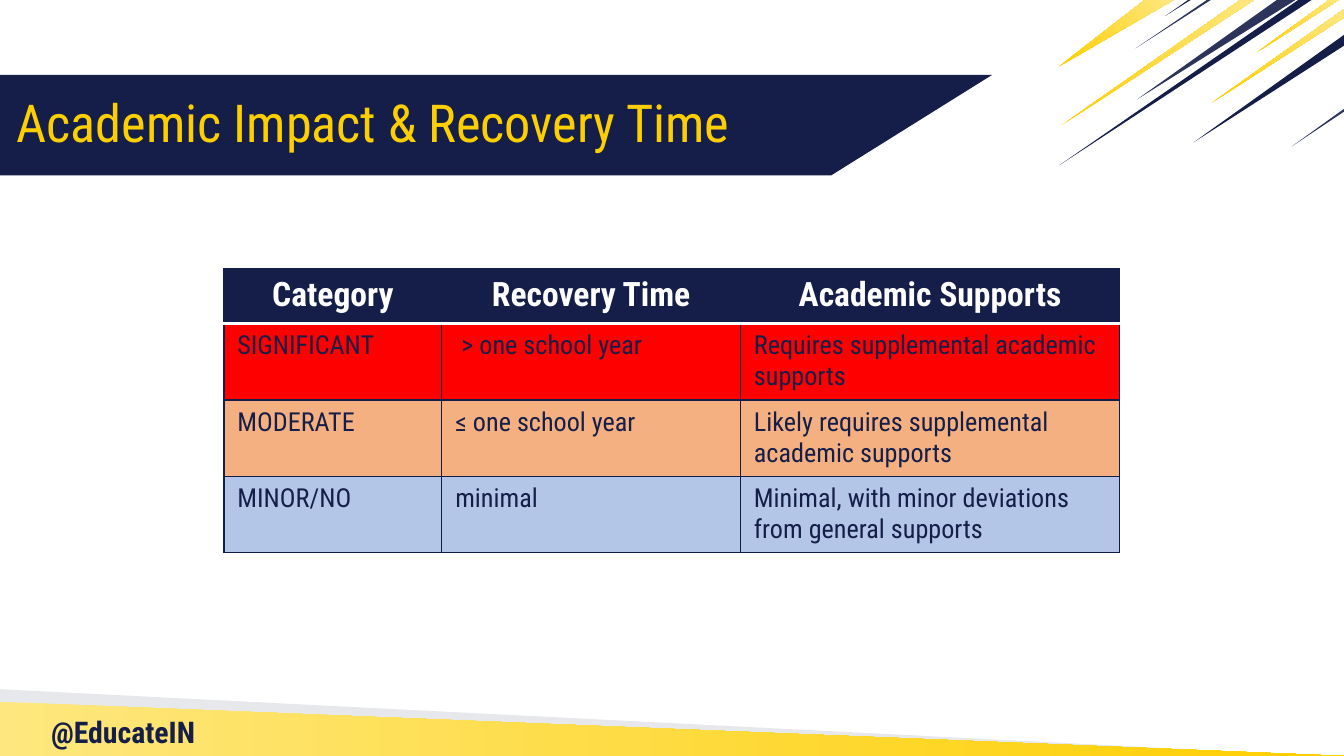
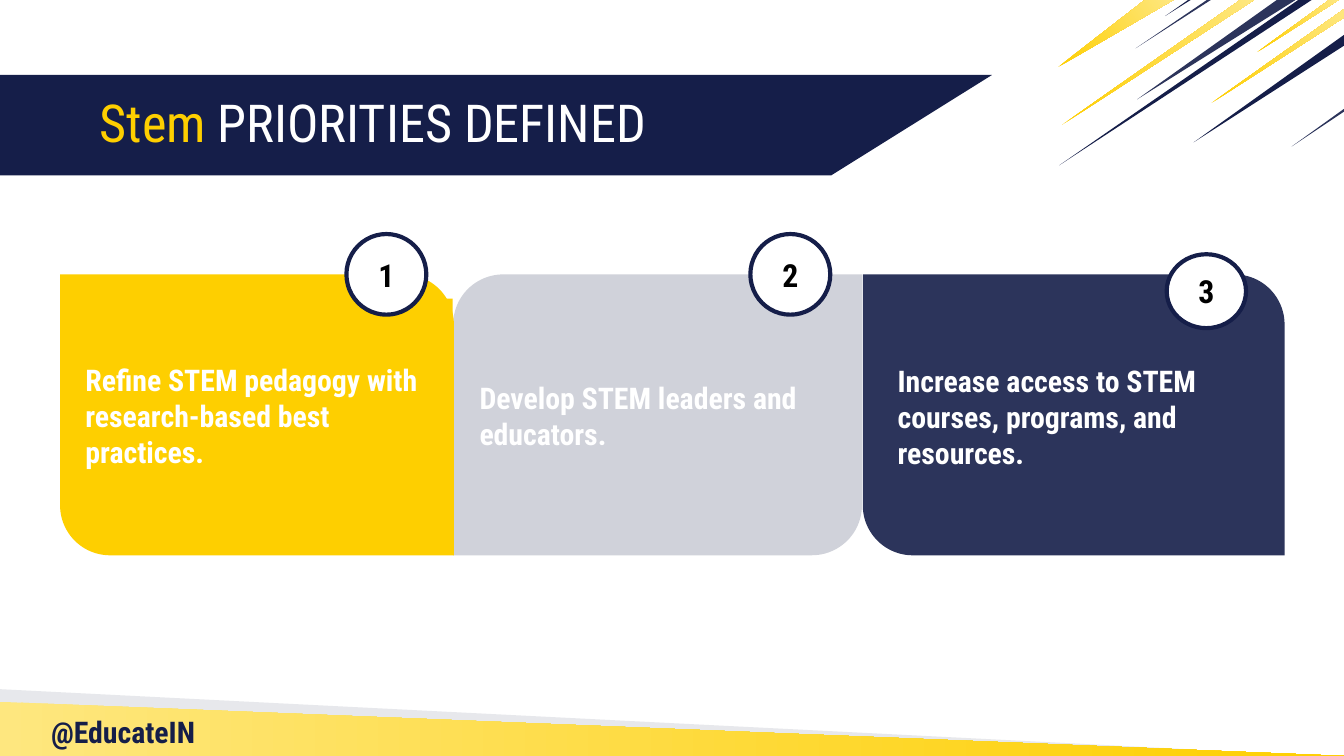
from dataclasses import dataclass

import pptx
import pptx.dml.color
import pptx.enum.shapes
import pptx.enum.text
import pptx.oxml
import pptx.oxml.ns
import pptx.util

Pt = pptx.util.Pt
RGBColor = pptx.dml.color.RGBColor
MSO_SHAPE = pptx.enum.shapes.MSO_SHAPE
MSO_ANCHOR = pptx.enum.text.MSO_ANCHOR
PP_ALIGN = pptx.enum.text.PP_ALIGN

FONT = "Roboto Condensed"
NAVY = RGBColor(0x15, 0x1E, 0x49)
SLATE = RGBColor(0x2C, 0x34, 0x5B)
GOLD = RGBColor(0xFE, 0xCF, 0x00)
PALE_GOLD = RGBColor(0xFE, 0xE7, 0x7F)
SILVER = RGBColor(0xD0, 0xD2, 0xDA)
MIST = RGBColor(0xE7, 0xE8, 0xEC)
WHITE = RGBColor(0xFF, 0xFF, 0xFF)
BLACK = RGBColor(0x00, 0x00, 0x00)
RED = RGBColor(0xFF, 0x00, 0x00)
ORANGE = RGBColor(0xF4, 0xB0, 0x81)
BLUE = RGBColor(0xB3, 0xC6, 0xE7)
RULE = RGBColor(0x13, 0x1D, 0x49)

SLIDE_WIDTH, SLIDE_HEIGHT = 720, 405
BAND_TOP, BAND_HEIGHT = 40.2, 53.8

GOLD_STREAK = (GOLD, PALE_GOLD, 35)
STREAKS = [
    (GOLD_STREAK, [(673.2, 28.1), (717.1, 0), (712.1, 0)]),
    (NAVY, [(567.4, 88.6), (702.7, 0), (695.5, 0)]),
    (GOLD_STREAK, [(613.4, 0), (566.8, 36), (628.6, 0)]),
    (GOLD_STREAK, [(720, 9.4), (720, 5), (648.7, 55.4)]),
    (SLATE, [(694.1, 0), (684, 0), (609.1, 53.3)]),
    (NAVY, [(639.4, 76.3), (720, 24.5), (720, 18.7)]),
    (SLATE, [(720, 59.8), (720, 58.3), (691.9, 78.5)]),
    (NAVY, [(624.2, 8.6), (637.9, 0), (636.5, 0)]),
    (GOLD_STREAK, [(568.8, 67), (671.8, 0), (664.6, 0)]),
    (SLATE, [(608.4, 25.9), (648.7, 0), (646.6, 0)]),
]


@dataclass
class Card:
    """A numbered card; panel and badge boxes are relative to its corner."""
    number: int
    text: str
    color: RGBColor
    left: float
    width: float
    rounding: tuple
    panel: tuple
    badge: tuple


CARDS = [
    Card(1, "Refine STEM pedagogy with research-based best practices.", GOLD,
         32.2, 211, (0, 0.178), (6.5, 13, 203.8, 125.3), (153.4, -21.6, 42.8, 43.2)),
    Card(2, "Develop STEM leaders and educators.", SILVER,
         242.8, 219, (0.178, 0), (7, 14.4, 206, 122.4), (159.2, -21.6, 42.8, 43.2)),
    Card(3, "Increase access to STEM courses, programs, and resources.", SLATE,
         462.2, 226, (0, 0.178), (11.6, 30.2, 201.6, 92.2), (162.8, -10.8, 42.5, 39.6)),
]
CARD_TOP, CARD_HEIGHT = 147, 150.5

TABLE_BOX = (120, 144, 480, 151)
COLUMN_SHARES = (1.62, 2.22, 2.82)
HEADER_HEIGHT = 29.5
TABLE_ROWS = [
    (NAVY, ["Category", "Recovery Time", "Academic Supports"]),
    (RED, ["SIGNIFICANT", " > one school year", "Requires supplemental academic supports"]),
    (ORANGE, ["MODERATE", "≤ one school year", "Likely requires supplemental academic supports"]),
    (BLUE, ["MINOR/NO", "minimal", "Minimal, with minor deviations from general supports"]),
]


def points(*lengths):
    return [Pt(length) for length in lengths]


def style_font(font, size, color, bold=False):
    font.name = FONT
    font.size = Pt(size)
    font.color.rgb = color
    font.bold = bold


def set_frame(text_frame, inset, anchor=MSO_ANCHOR.MIDDLE):
    text_frame.word_wrap = True
    text_frame.vertical_anchor = anchor
    text_frame.margin_left = text_frame.margin_right = Pt(inset)
    text_frame.margin_top = text_frame.margin_bottom = Pt(inset)


def set_text(shape, text, size, color, inset, anchor=MSO_ANCHOR.MIDDLE, align=PP_ALIGN.LEFT):
    """Put one bold paragraph in a shape."""
    set_frame(shape.text_frame, inset, anchor)
    shape.text_frame.text = text
    paragraph = shape.text_frame.paragraphs[0]
    paragraph.alignment = align
    style_font(paragraph.runs[0].font, size, color, bold=True)


def paint(shape, fill):
    """Fill with a colour or a (start, end, angle) gradient, without outline."""
    shape.shadow.inherit = False
    shape.line.fill.background()
    if isinstance(fill, RGBColor):
        shape.fill.solid()
        shape.fill.fore_color.rgb = fill
        return
    start, end, angle = fill
    shape.fill.gradient()
    shape.fill.gradient_angle = angle
    for stop, color in zip(shape.fill.gradient_stops, (start, end)):
        stop.color.rgb = color


def add_polygon(slide, fill, corners):
    first, *rest = [points(*corner) for corner in corners]
    builder = slide.shapes.build_freeform(*first)
    builder.add_line_segments(rest, close=True)
    paint(builder.convert_to_shape(), fill)


def add_preset(shapes, kind, box, fill):
    shape = shapes.add_shape(kind, *points(*box))
    paint(shape, fill)
    return shape


def add_backdrop(slide):
    bottom = SLIDE_HEIGHT
    band_bottom = BAND_TOP + BAND_HEIGHT
    add_polygon(slide, MIST, [(0, 369.2), (0, bottom), (641, 401.6)])
    add_polygon(slide, NAVY, [(0, BAND_TOP), (0, band_bottom),
                              (445.3, band_bottom), (531.4, BAND_TOP)])
    for fill, corners in STREAKS:
        add_polygon(slide, fill, corners)
    add_polygon(slide, (PALE_GOLD, GOLD, 0),
                [(0, 376), (0, bottom), (SLIDE_WIDTH, bottom)])
    handle = slide.shapes.add_textbox(*points(23.8, 378.7, 146.9, 14.4))
    set_text(handle, "@EducateIN", 16, NAVY, 3.6, MSO_ANCHOR.TOP)


def add_title(slide, left, width, inset, parts):
    title = slide.shapes.add_textbox(*points(left, BAND_TOP, width, BAND_HEIGHT))
    set_frame(title.text_frame, inset)
    paragraph = title.text_frame.paragraphs[0]
    paragraph.line_spacing = 0.9
    for text, color in parts:
        run = paragraph.add_run()
        run.text = text
        style_font(run.font, 28, color)


def set_borders(cell, top=(RULE, 0.75), bottom=(RULE, 0.75)):
    properties = cell._tc.get_or_add_tcPr()
    sides = {"lnL": (RULE, 0.75), "lnR": (RULE, 0.75), "lnT": top, "lnB": bottom}
    for index, (side, (color, width)) in enumerate(sides.items()):
        line = pptx.oxml.parse_xml(
            f'<a:{side} {pptx.oxml.ns.nsdecls("a")} w="{Pt(width)}">'
            f'<a:solidFill><a:srgbClr val="{color}"/></a:solidFill></a:{side}>')
        properties.insert(index, line)


def add_impact_table(slide, box):
    left, top, width, height = box
    frame = slide.shapes.add_table(len(TABLE_ROWS), len(COLUMN_SHARES), *points(*box))
    table = frame.table
    table.first_row = table.horz_banding = False
    for column, share in zip(table.columns, COLUMN_SHARES):
        column.width = Pt(width * share / sum(COLUMN_SHARES))
    body_height = (height - HEADER_HEIGHT) / (len(TABLE_ROWS) - 1)
    header_rule = (WHITE, 2)
    for row_index, (fill, texts) in enumerate(TABLE_ROWS):
        is_header = row_index == 0
        table.rows[row_index].height = Pt(HEADER_HEIGHT if is_header else body_height)
        for column_index, text in enumerate(texts):
            cell = table.cell(row_index, column_index)
            cell.fill.solid()
            cell.fill.fore_color.rgb = fill
            cell.text_frame.text = text
            paragraph = cell.text_frame.paragraphs[0]
            font = paragraph.runs[0].font
            if is_header:
                paragraph.alignment = PP_ALIGN.CENTER
                style_font(font, 18, WHITE, bold=True)
                set_borders(cell, bottom=header_rule)
            elif row_index == 1:
                style_font(font, 14, NAVY)
                set_borders(cell, top=header_rule)
            else:
                style_font(font, 14, NAVY)
                set_borders(cell)


def place(card, box):
    """Turn a box relative to the card into a box on the slide."""
    left, top, width, height = box
    return card.left + left, CARD_TOP + top, width, height


def add_card(slide, card):
    shapes = slide.shapes.add_group_shape().shapes
    body = add_preset(shapes, MSO_SHAPE.ROUND_2_DIAG_RECTANGLE,
                      place(card, (0, 0, card.width, CARD_HEIGHT)), card.color)
    for index, rounding in enumerate(card.rounding):
        body.adjustments[index] = rounding
    panel = add_preset(shapes, MSO_SHAPE.RECTANGLE, place(card, card.panel), card.color)
    set_text(panel, card.text, 16, WHITE, 7.2)


def add_badge(slide, card):
    badge = add_preset(slide.shapes, MSO_SHAPE.OVAL, place(card, card.badge), WHITE)
    badge.line.color.rgb = NAVY
    badge.line.width = Pt(2.25)
    set_text(badge, str(card.number), 17, BLACK, 7.2, align=PP_ALIGN.CENTER)


def add_slide(presentation):
    slide = presentation.slides.add_slide(presentation.slide_layouts[6])
    add_backdrop(slide)
    return slide


def build_impact_slide(presentation):
    slide = add_slide(presentation)
    add_title(slide, 9, 459, 0, [("Academic Impact & Recovery Time", GOLD)])
    add_impact_table(slide, TABLE_BOX)


def build_priorities_slide(presentation):
    slide = add_slide(presentation)
    first, second, third = CARDS
    for card in (second, first, third):
        add_card(slide, card)
    for card in CARDS:
        add_badge(slide, card)
    add_title(slide, 48.4, 414.7, 5, [("Stem ", GOLD), ("PRIORITIES DEFINED", WHITE)])


def main():
    presentation = pptx.Presentation()
    presentation.slide_width = Pt(SLIDE_WIDTH)
    presentation.slide_height = Pt(SLIDE_HEIGHT)
    build_impact_slide(presentation)
    build_priorities_slide(presentation)
    presentation.save("out.pptx")


if __name__ == "__main__":
    main()
